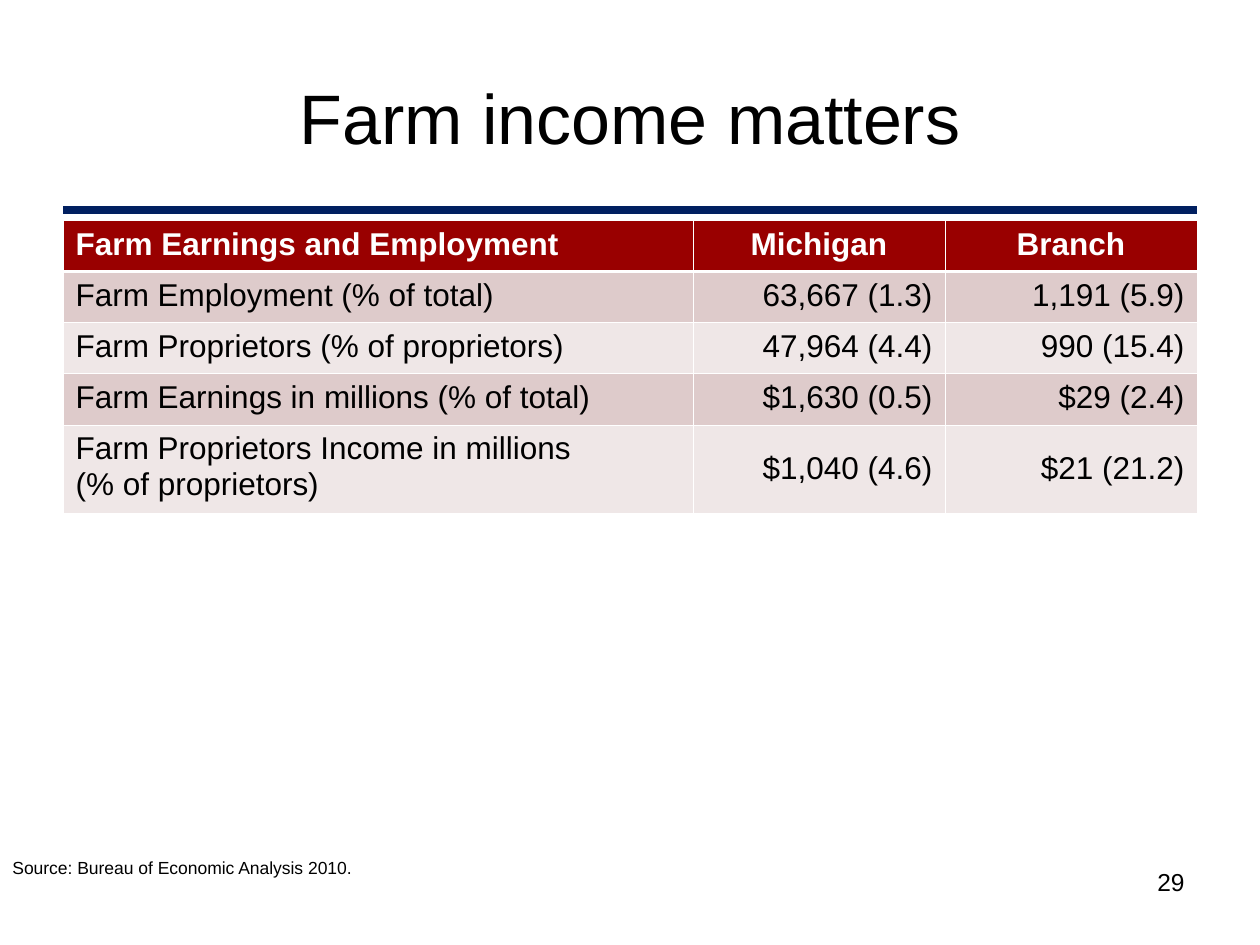
from lxml import etree
from pptx import Presentation
from pptx.dml.color import RGBColor
from pptx.enum.shapes import MSO_CONNECTOR
from pptx.enum.text import MSO_ANCHOR, PP_ALIGN
from pptx.oxml.ns import qn
from pptx.util import Pt

STRAIGHT = MSO_CONNECTOR.STRAIGHT
TOP, MIDDLE = MSO_ANCHOR.TOP, MSO_ANCHOR.MIDDLE
LEFT, CENTER, RIGHT = PP_ALIGN.LEFT, PP_ALIGN.CENTER, PP_ALIGN.RIGHT

FONT = "Arial"
COLORS = {
    "text": "000000",
    "white": "FFFFFF",
    "rule": "002060",
    "header": "990000",
    "odd_row": "DECBCB",
    "even_row": "EFE7E7",
}
MARGIN = 36
CONTENT_WIDTH = 648
COLUMN_WIDTHS = [360, 144, 144]
ROW_HEIGHTS = [29.2, 29.2, 29.2, 29.2, 50.4]
THIN, THICK = 0.45, 1.47
FARM_ROWS = [
    ["Farm Earnings and Employment", "Michigan", "Branch"],
    ["Farm Employment (% of total)", "63,667 (1.3)", "1,191 (5.9)"],
    ["Farm Proprietors (% of proprietors)", "47,964 (4.4)", "990 (15.4)"],
    ["Farm Earnings in millions (% of total)", "$1,630 (0.5)", "$29 (2.4)"],
    ["Farm Proprietors Income in millions\n(% of proprietors)", "$1,040 (4.6)", "$21 (21.2)"],
]


def rgb(name):
    return RGBColor.from_string(COLORS[name])


def write_text(frame, text, size, color="text", align=LEFT, bold=False):
    frame.word_wrap = True
    for index, line in enumerate(text.split("\n")):
        paragraph = frame.add_paragraph() if index else frame.paragraphs[0]
        paragraph.alignment = align
        run = paragraph.add_run()
        run.text = line
        run.font.name = FONT
        run.font.size = Pt(size)
        run.font.bold = bold
        run.font.color.rgb = rgb(color)


def add_title(slide, text):
    title = slide.shapes.title
    title.left, title.top = Pt(MARGIN), Pt(21.6)
    title.width, title.height = Pt(CONTENT_WIDTH), Pt(90)
    title.text_frame.vertical_anchor = MIDDLE
    write_text(title.text_frame, text, 40, align=CENTER)


def add_rule(slide, top):
    rule = slide.shapes.add_connector(
        STRAIGHT, Pt(MARGIN), Pt(top), Pt(MARGIN + CONTENT_WIDTH), Pt(top))
    rule.line.color.rgb = rgb("rule")
    rule.line.width = Pt(5)
    etree.SubElement(rule._element.spPr, qn("a:effectLst"))


def add_label(slide, text, left, top, width, height, size, align=LEFT):
    label = slide.shapes.add_textbox(Pt(left), Pt(top), Pt(width), Pt(height))
    write_text(label.text_frame, text, size, align=align)


def set_borders(cell, top_width, bottom_width):
    properties = cell._tc.get_or_add_tcPr()
    widths = {"a:lnL": THIN, "a:lnR": THIN, "a:lnT": top_width, "a:lnB": bottom_width}
    for position, (side, width) in enumerate(widths.items()):
        border = etree.Element(qn(side), w=str(Pt(width)))
        fill = etree.SubElement(border, qn("a:solidFill"))
        etree.SubElement(fill, qn("a:srgbClr"), val=COLORS["white"])
        properties.insert(position, border)


def fill_cell(cell, text, row, column):
    header = row == 0
    fill = "header" if header else "odd_row" if row % 2 else "even_row"
    value_align = CENTER if header else RIGHT
    write_text(cell.text_frame, text, 18, "white" if header else "text",
               value_align if column else LEFT, header)
    last_row = row == len(FARM_ROWS) - 1
    cell.vertical_anchor = MIDDLE if last_row and column else TOP
    cell.fill.solid()
    cell.fill.fore_color.rgb = rgb(fill)
    set_borders(cell, THICK if row == 1 else THIN, THICK if header else THIN)


def add_farm_table(slide):
    table = slide.shapes.add_table(
        len(FARM_ROWS), len(COLUMN_WIDTHS), Pt(MARGIN), Pt(126),
        Pt(CONTENT_WIDTH), Pt(sum(ROW_HEIGHTS))).table
    table.horz_banding = False
    for column, width in zip(table.columns, COLUMN_WIDTHS):
        column.width = Pt(width)
    for row, height in zip(table.rows, ROW_HEIGHTS):
        row.height = Pt(height)
    for row, texts in enumerate(FARM_ROWS):
        for column, text in enumerate(texts):
            fill_cell(table.cell(row, column), text, row, column)


def main():
    deck = Presentation()
    deck.slide_width, deck.slide_height = Pt(720), Pt(540)
    slide = deck.slides.add_slide(deck.slide_layouts[5])
    add_rule(slide, 120)
    add_title(slide, "Farm income matters")
    add_farm_table(slide)
    add_label(slide, "Source: Bureau of Economic Analysis 2010.", 0, 486, 228, 19.4, 10)
    add_label(slide, "29", 516, 492, 168, 37.4, 14, RIGHT)
    deck.save("out.pptx")


if __name__ == "__main__":
    main()
